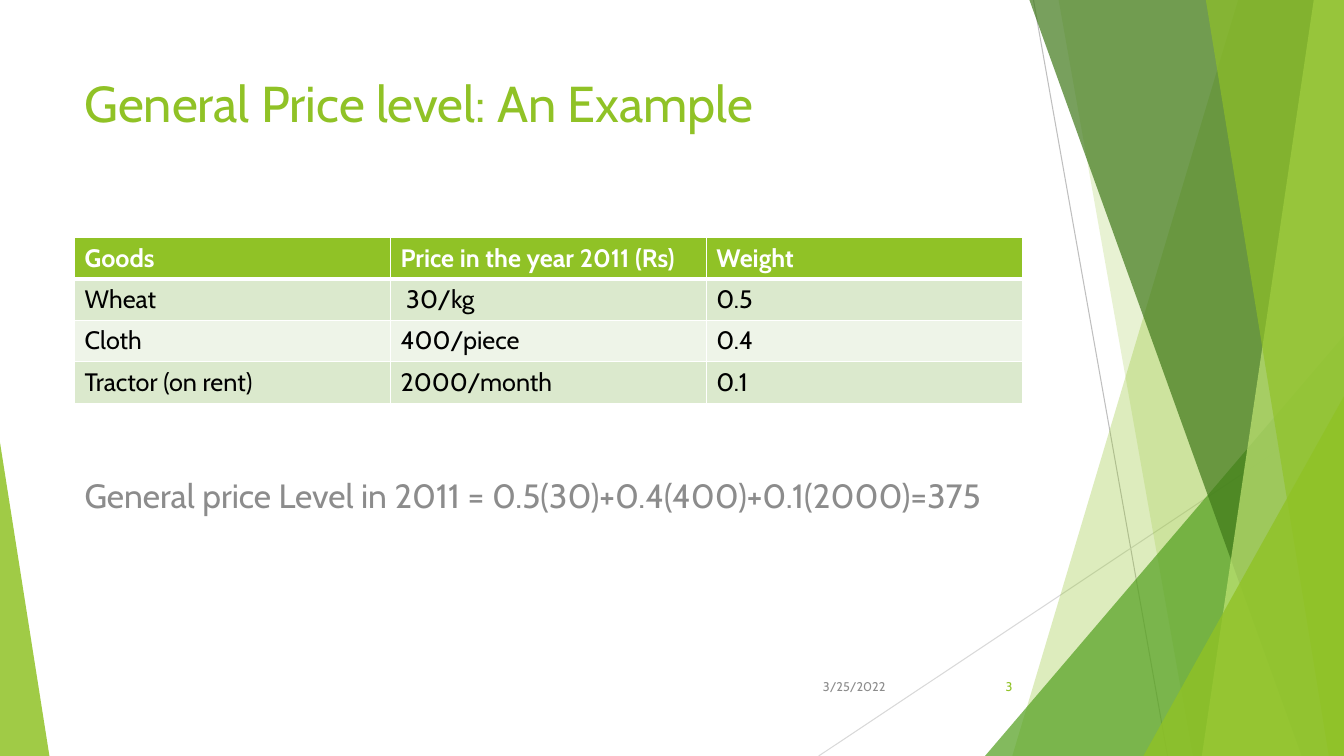
"""Build the price level slide."""
from lxml import etree
from pptx import Presentation
from pptx import util as u
from pptx.dml.color import RGBColor
from pptx.enum import shapes, text
from pptx.oxml import ns

PX = 9144
FONT = "Cabin"
WHITE = RGBColor(0xFF, 0xFF, 0xFF)
BLACK = RGBColor(0, 0, 0)
GRAY = RGBColor(0x8C, 0x8C, 0x8C)
RAY_DARK = RGBColor(0xBF, 0xBF, 0xBF)
RAY_LIGHT = RGBColor(0xD9, 0xD9, 0xD9)
LIME = RGBColor(0x90, 0xC2, 0x26)
GREEN = RGBColor(0x54, 0xA0, 0x21)
FOREST = RGBColor(0x3F, 0x78, 0x19)
PALE_LIME = RGBColor(0xC0, 0xE4, 0x74)
BANDS = RGBColor(0xDB, 0xE9, 0xCD), RGBColor(0xEE, 0xF4, 0xE8)
GOODS = [
    ("Goods", "Price in the year 2011 (Rs)", "Weight"),
    ("Wheat", " 30/kg", "0.5"),
    ("Cloth", "400/piece", "0.4"),
    ("Tractor (on rent)", "2000/month", "0.1"),
]


def px(*lengths):
    """Turn px lengths into EMU."""
    return [u.Emu(length * PX) for length in lengths]


def write(frame, words, size, color, bold=False, align=text.PP_ALIGN.LEFT):
    """Write one formatted paragraph into a text frame."""
    frame.word_wrap = True
    paragraph = frame.paragraphs[0]
    paragraph.alignment = align
    run = paragraph.add_run()
    run.text = words
    run.font.name, run.font.size, run.font.bold = FONT, u.Pt(size), bold
    run.font.color.rgb = color


def add_text(slide, box, words, anchor=text.MSO_ANCHOR.MIDDLE, bottom_inset=5, **style):
    """Place a text box filling the given box."""
    frame = slide.shapes.add_textbox(*px(*box)).text_frame
    frame.vertical_anchor = anchor
    frame.margin_bottom = px(bottom_inset)[0]
    write(frame, words, **style)


def paint(facet, color, opacity):
    """Fill a facet with a translucent colour and no outline."""
    facet.shadow.inherit = False
    facet.line.fill.background()
    facet.fill.solid()
    facet.fill.fore_color.rgb = color
    tint = facet.fill._xPr.find(".//" + ns.qn("a:srgbClr"))
    etree.SubElement(tint, ns.qn("a:alpha"), val=str(opacity * 1000))


def add_ray(slide, start, end, color):
    """Draw a thin straight ray."""
    ray = slide.shapes.add_connector(shapes.MSO_CONNECTOR.STRAIGHT, *px(*start, *end))
    ray.line.color.rgb, ray.line.width = color, u.Pt(0.75)
    etree.SubElement(ray._element.spPr, ns.qn("a:effectLst"))


def add_blade(slide, box, top_x, bottom_x, color, opacity):
    """Draw a facet reaching from a slanted left edge to the box's right edge."""
    left, top, width, height = box
    right, bottom = left + width, top + height
    outline = slide.shapes.build_freeform(left + top_x, top, scale=PX)
    outline.add_line_segments(
        [(right, top), (right, bottom), (left + bottom_x, bottom)], close=True)
    paint(outline.convert_to_shape(), color, opacity)


def add_corner(slide, box, width, height, apex, color, opacity):
    """Draw a right triangle in a bottom corner, with its apex on that side."""
    left = box[0] + apex * (box[2] - width)
    top = box[1] + box[3] - height
    corner = slide.shapes.add_shape(
        shapes.MSO_SHAPE.ISOSCELES_TRIANGLE, *px(left, top, width, height))
    corner.adjustments[0] = apex
    paint(corner, color, opacity)


def add_backdrop(slide, box):
    """Draw the faceted green backdrop."""
    left, top, width, height = box
    bottom = top + height
    add_ray(slide, (left + 1025, top), (left + 1158, bottom), RAY_DARK)
    add_ray(slide, (left + width, top + 403), (left + 812, bottom), RAY_LIGHT)
    add_blade(slide, box, 1228, 1004, LIME, 30)
    add_blade(slide, box, 1050, 1183, LIME, 20)
    add_corner(slide, box, 356, 417, 1, GREEN, 72)
    add_blade(slide, box, 1021, 1291, FOREST, 70)
    add_blade(slide, box, 1303, 1192, PALE_LIME, 70)
    add_blade(slide, box, 1196, 1318, LIME, 65)
    add_corner(slide, box, 199, 357, 1, LIME, 80)
    add_corner(slide, box, 49, 311, 0, LIME, 85)


def add_borders(cell, **widths):
    """Give a cell white borders of the given point widths."""
    for side, width in widths.items():
        border = etree.SubElement(
            cell._tc.get_or_add_tcPr(), ns.qn("a:ln" + side), w=str(u.Pt(width)))
        fill = etree.SubElement(border, ns.qn("a:solidFill"))
        etree.SubElement(fill, ns.qn("a:srgbClr"), val=str(WHITE))


def add_goods_table(slide, box):
    """Place the table of goods, prices and weights."""
    table = slide.shapes.add_table(len(GOODS), len(GOODS[0]), *px(*box)).table
    for row, values in enumerate(GOODS):
        header = row == 0
        for column, value in enumerate(values):
            cell = table.cell(row, column)
            add_borders(cell, L=1, R=1, T=3 if row == 1 else 1, B=3 if header else 1)
            cell.fill.solid()
            cell.fill.fore_color.rgb = LIME if header else BANDS[(row - 1) % 2]
            write(cell.text_frame, value, size=18, bold=header,
                  color=WHITE if header else BLACK)


def add_footer(slide, box):
    """Place the date and the slide number."""
    left, top, width, height = box
    number_width = 75
    right = text.PP_ALIGN.RIGHT
    add_text(slide, (left, top, 100, height), "3/25/2022", size=9, color=GRAY, align=right)
    add_text(slide, (left + width - number_width, top, number_width, height), "3",
             size=9, color=LIME, align=right)


def main():
    """Assemble and save the slide."""
    deck = Presentation()
    deck.slide_width, deck.slide_height = px(1333, 750)
    slide = deck.slides.add_slide(deck.slide_layouts[6])
    add_backdrop(slide, (0, 0, 1333, 750))
    add_text(slide, (74, 67, 940, 144), "General Price level: An Example",
             anchor=text.MSO_ANCHOR.TOP, size=36, color=LIME)
    add_goods_table(slide, (74, 236, 940, 164))
    add_text(slide, (74, 444, 948, 109),
             "General price Level in 2011 = 0.5(30)+0.4(400)+0.1(2000)=375",
             bottom_inset=20, size=24, color=GRAY)
    add_footer(slide, (788, 661, 226, 40))
    deck.save("out.pptx")


if __name__ == "__main__":
    main()
